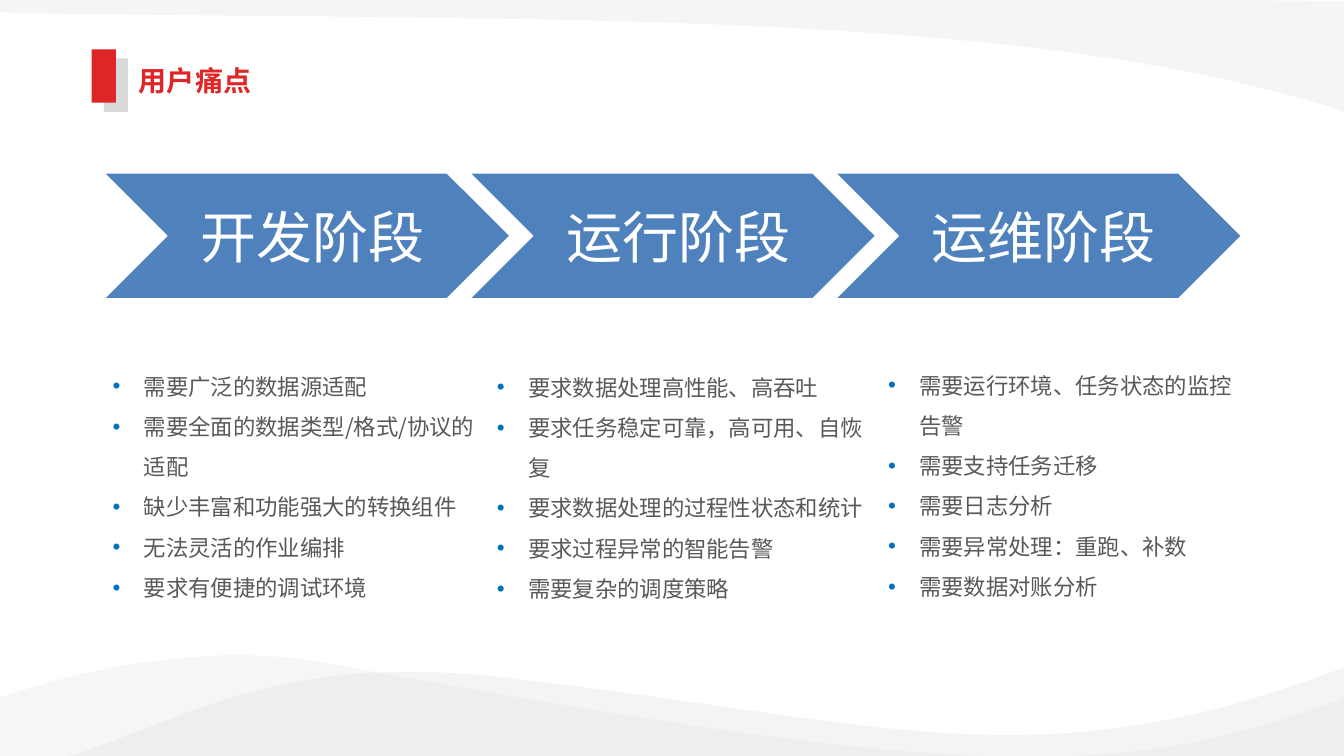
from lxml.etree import SubElement as Sub
from pptx import Presentation
from pptx.dml.color import RGBColor as RGB
from pptx.enum.shapes import MSO_SHAPE as Kind
from pptx.enum.text import MSO_ANCHOR as Anchor, MSO_AUTO_SIZE as Fit, PP_ALIGN as Align
from pptx.oxml.ns import qn
from pptx.util import Inches, Pt

# Grid: one cell is a tenth of an inch
COLS, ROWS = 133.3, 75
CELL = Inches(0.1)
FONT = "Noto Sans CJK SC"
HUES = {"red": "DF2525", "blue": "4F81BD", "dot": "0070C0", "text": "595959",
        "white": "FFFFFF", "pale": "F2F2F2", "gray": "D9D9D9"}

STAGES = [
    ("开发阶段", (10.2, 35.15, 38.6),
     ["需要广泛的数据源适配", "需要全面的数据类型/格式/协议的适配",
      "缺少丰富和功能强大的转换组件", "无法灵活的作业编排", "要求有便捷的调试环境"]),
    ("运行阶段", (48.3, 35.25, 38.6),
     ["要求数据处理高性能、高吞吐", "要求任务稳定可靠，高可用、自恢复",
      "要求数据处理的过程性状态和统计", "要求过程异常的智能告警", "需要复杂的调度策略"]),
    ("运维阶段", (87.1, 35.05, 37),
     ["需要运行环境、任务状态的监控告警", "需要支持任务迁移",
      "需要日志分析", "需要异常处理：重跑、补数", "需要数据对账分析"]),
]

# Waves: hue, opacity in percent, contours; six numbers make a curve
WAVES = [
    ("pale", 75, [[(0, 0), (119.1, 0), (COLS, 0.1), (COLS, 11.1), (132.8, 10.9),
                   (101.3, 0.8, 54.5, 2.1, 2, 1.3), (0, 1.2)]]),
    ("pale", 69, [[(COLS, 69.2), (COLS, ROWS), (106.4, ROWS),
                   (116.5, 74.6, 124.2, 72.7, 133, 69.4)],
                  [(23.3, 65), (26.8, 65, 30.4, 65.3, 34, 66.1),
                   (64.3, 71.6, 83.2, 74.5, 97.5, ROWS), (0, ROWS), (0, 69.2),
                   (7.2, 66.8, 15.1, 65.1, 23.3, 65)]]),
    ("gray", 27, [[(COLS, 66.2), (COLS, ROWS), (6.8, ROWS), (7.4, 74.9),
                   (19.8, 70.6, 28.4, 65, 49.1, 67.1),
                   (88.6, 71.6, 102.5, 78, COLS, 66.2)]]),
]


def cells(*nums):
    return [round(n * CELL) for n in nums]


def hue(name):
    return RGB.from_string(HUES[name])


def paint(shape, name):
    shape.shadow.inherit = False
    shape.fill.solid()
    shape.fill.fore_color.rgb = hue(name)
    shape.line.fill.background()


def bend(shape, steps):
    """Turn the lines that stand for curves into Bézier segments."""
    nodes = list(shape._element.iter(qn("a:moveTo"), qn("a:lnTo")))
    for node, step in zip(nodes, steps):
        if len(step) == 6:
            node.tag = qn("a:cubicBezTo")
            end = node[0]
            for i in (0, 2):
                x, y = cells(*step[i:i + 2])
                spot = Sub(node, qn("a:pt"), x=str(x - shape.left), y=str(y - shape.top))
                end.addprevious(spot)


def wave(slide, name, alpha, loops):
    first, *rest = [[cells(*step[-2:]) for step in loop] for loop in loops]
    form = slide.shapes.build_freeform(*first[0])
    form.add_line_segments(first[1:], close=True)
    for dots in rest:
        form.move_to(*dots[0])
        form.add_line_segments(dots[1:], close=True)
    shape = form.convert_to_shape()
    bend(shape, sum(loops, []))
    paint(shape, name)
    tint = shape.fill._xPr.find(qn("a:solidFill"))[0]
    Sub(tint, qn("a:alpha"), val=str(alpha * 1000))


def block(slide, kind, spot, name):
    shape = slide.shapes.add_shape(kind, *cells(*spot))
    paint(shape, name)
    return shape


def style(para, size, name, bold=False):
    font = para.font
    font.size, font.bold, font.name = Pt(size), bold, FONT
    font.color.rgb = hue(name)
    props = para._p.get_or_add_pPr().find(qn("a:defRPr"))
    Sub(props, qn("a:ea"), typeface=FONT)


def title(slide, text, spot):
    frame = slide.shapes.add_textbox(*cells(*spot)).text_frame
    frame.word_wrap, frame.auto_size = False, Fit.SHAPE_TO_FIT_TEXT
    frame.text = text
    style(frame.paragraphs[0], 20, "red", True)


def stage(slide, text, spot):
    shape = block(slide, Kind.CHEVRON, spot, "blue")
    shape.line.color.rgb, shape.line.width = hue("white"), Pt(1)
    frame = shape.text_frame
    frame.text, frame.vertical_anchor = text, Anchor.MIDDLE
    frame.margin_left = Inches(0.17)
    frame.margin_right = frame.margin_top = frame.margin_bottom = Inches(0.06)
    para = frame.paragraphs[0]
    para.alignment = Align.CENTER
    style(para, 40, "white")


def points(slide, lines, spot):
    frame = slide.shapes.add_textbox(*cells(*spot)).text_frame
    frame.word_wrap, frame.auto_size = True, Fit.SHAPE_TO_FIT_TEXT
    frame.text = "\n".join(lines)
    for para in frame.paragraphs:
        para.line_spacing = 1.5
        props = para._p.get_or_add_pPr()
        props.set("marL", str(Inches(0.31)))
        props.set("indent", str(-Inches(0.31)))
        Sub(Sub(props, qn("a:buClr")), qn("a:srgbClr"), val=HUES["dot"])
        Sub(props, qn("a:buFont"), typeface="Arial")
        Sub(props, qn("a:buChar"), char="•")
        style(para, 16, "text")


def main():
    deck = Presentation()
    deck.slide_width, deck.slide_height = Inches(13.33), Inches(7.5)
    slide = deck.slides.add_slide(deck.slide_layouts[6])

    # Backdrop
    for name, alpha, loops in WAVES:
        wave(slide, name, alpha, loops)

    # Heading
    title(slide, "用户痛点", (12.8, 5.8, 13.2, 4.4))
    block(slide, Kind.RECTANGLE, (10.3, 5.8, 2.4, 5.3), "gray")
    block(slide, Kind.RECTANGLE, (9.1, 4.9, 2.4, 5.3), "red")

    # Stages and their pain points
    for i, (name, (left, top, width), lines) in enumerate(STAGES):
        stage(slide, name, (10.3 + i * 36.27, 17.15, 40.3, 12.5))
        points(slide, lines, (left, top, width, 24.8))

    deck.save("out.pptx")


if __name__ == "__main__":
    main()
